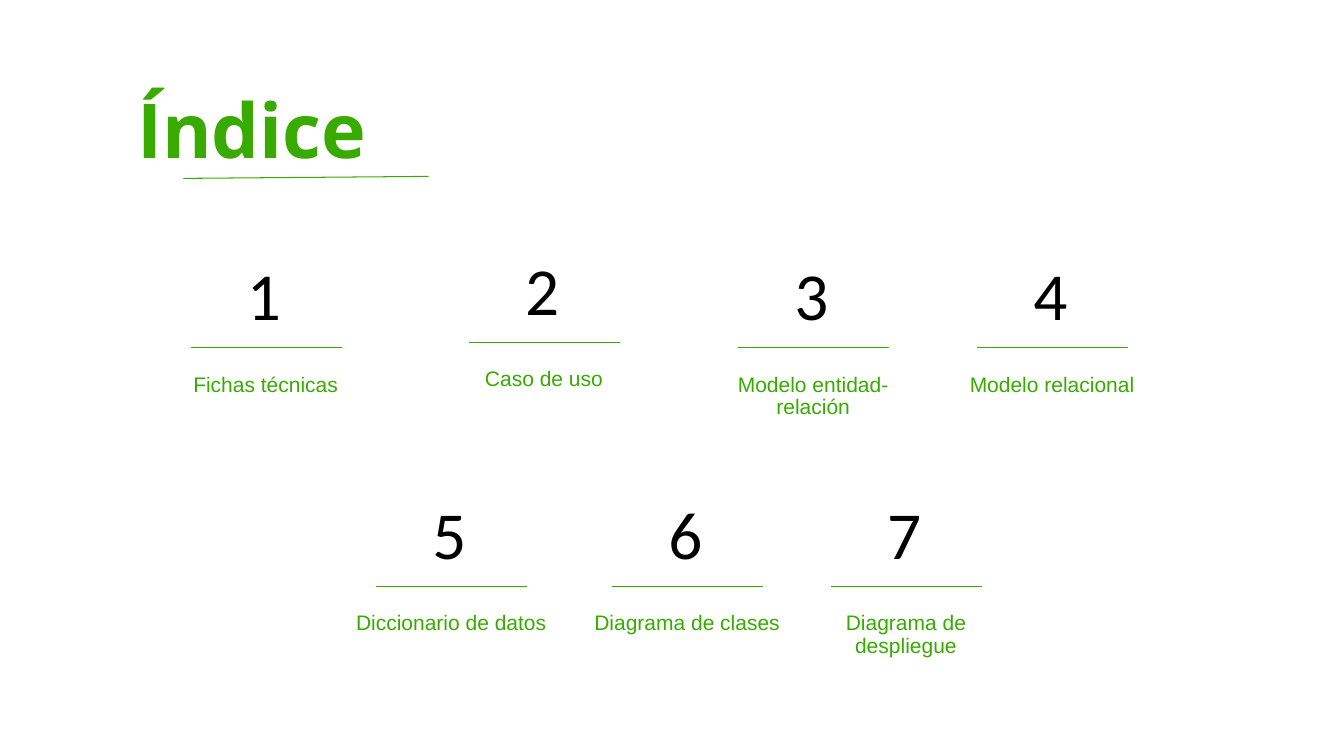
import pptx
import pptx.util
from lxml import etree
from pptx.dml.color import RGBColor
from pptx.enum.shapes import MSO_CONNECTOR
from pptx.enum.text import MSO_ANCHOR, MSO_AUTO_SIZE, PP_ALIGN
from pptx.oxml.ns import qn

GREEN = RGBColor(0x38, 0xAA, 0x00)
BLACK = RGBColor(0x00, 0x00, 0x00)
PX_PER_INCH = 100

ENTRIES = [
    ("Fichas técnicas", 155, 366),
    ("Caso de uso", 431, 361),
    ("Modelo entidad-relación", 698, 366),
    ("Modelo relacional", 935, 366),
    ("Diccionario de datos", 339, 603),
    ("Diagrama de clases", 573, 603),
    ("Diagrama de despliegue", 790, 603),
]


def px(length):
    """Turn px into EMU."""
    return pptx.util.Emu(length * 914400 // PX_PER_INCH)


def fill_text(box, text, font_name, size, color, align, margin_y):
    """Write one formatted paragraph into a box and return it."""
    frame = box.text_frame
    frame.word_wrap = True
    frame.auto_size = MSO_AUTO_SIZE.NONE
    frame.vertical_anchor = MSO_ANCHOR.TOP
    frame.margin_left = frame.margin_right = px(10)
    frame.margin_top = frame.margin_bottom = px(margin_y)
    paragraph = frame.paragraphs[0]
    paragraph.text = text
    paragraph.alignment = align
    paragraph.font.name = font_name
    paragraph.font.size = pptx.util.Pt(size)
    paragraph.font.color.rgb = color
    return paragraph


def add_rule(slide, x1, y1, x2, y2):
    """Draw a thin green line."""
    rule = slide.shapes.add_connector(
        MSO_CONNECTOR.STRAIGHT, px(x1), px(y1), px(x2), px(y2))
    rule.line.color.rgb = GREEN
    rule.line.width = pptx.util.Pt(0.75)
    etree.SubElement(rule._element.spPr, qn("a:effectLst"))


def add_heading(slide, text):
    """Place the slide title and its underline."""
    heading = slide.shapes.title
    heading.left, heading.top = px(126), px(59)
    heading.width, heading.height = px(483), px(111)
    paragraph = fill_text(heading, text, "Open Sans", 54, GREEN, PP_ALIGN.LEFT, 10)
    paragraph.font.bold = True
    paragraph.line_spacing = 1.15
    add_rule(slide, 182, 177, 425, 175)


def add_entry(slide, number, topic, left, top):
    """Place a numbered index entry around its topic label."""
    label = slide.shapes.add_textbox(px(left), px(top), px(217), px(48))
    paragraph = fill_text(label, topic, "Arial", 15, GREEN, PP_ALIGN.CENTER, 5)
    paragraph.line_spacing = 0.9
    numeral = slide.shapes.add_textbox(
        px(left + 80), px(top - 125), px(58), px(111))
    fill_text(numeral, str(number), "Calibri", 48, BLACK, PP_ALIGN.LEFT, 10)
    add_rule(slide, left + 34, top - 21, left + 184, top - 21)


def main():
    """Build the index slide."""
    deck = pptx.Presentation()
    deck.slide_width, deck.slide_height = px(1333), px(750)
    slide = deck.slides.add_slide(deck.slide_layouts[5])
    add_heading(slide, "Índice")
    for number, (topic, left, top) in enumerate(ENTRIES, start=1):
        add_entry(slide, number, topic, left, top)
    deck.save("out.pptx")


if __name__ == "__main__":
    main()
